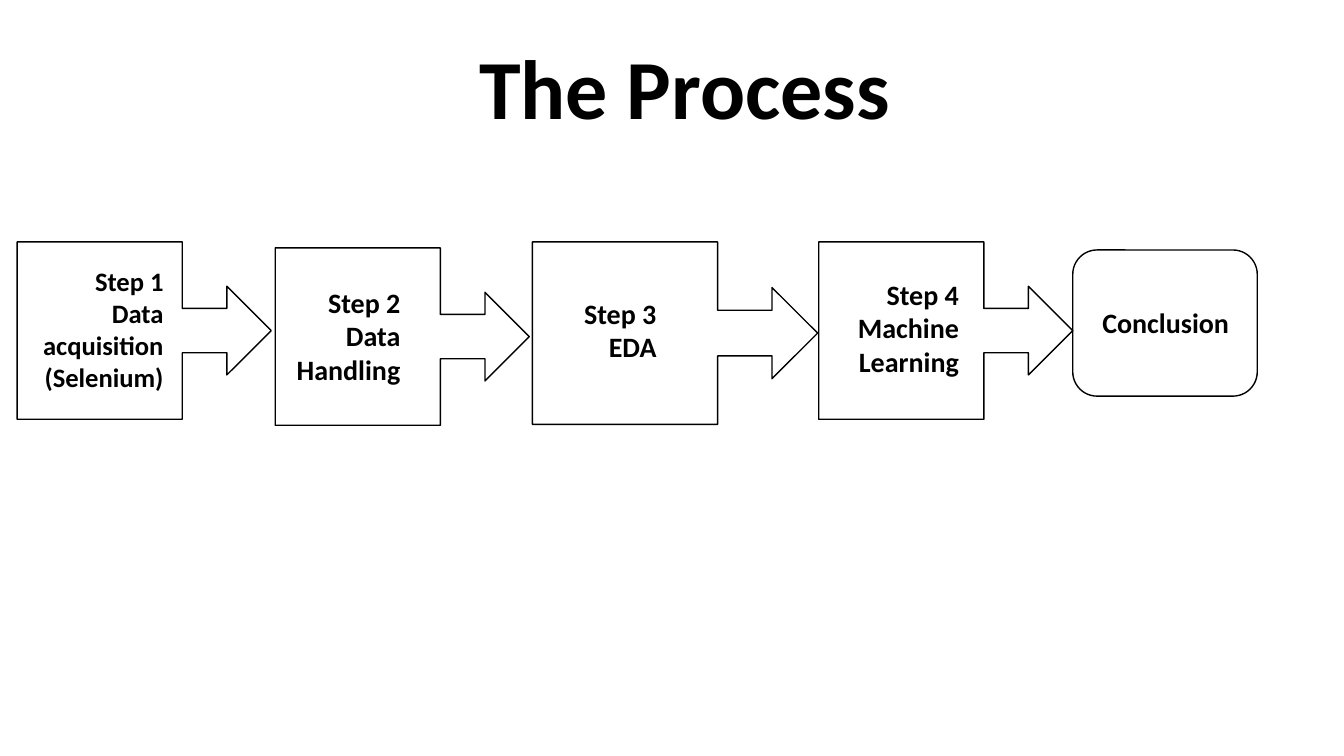
from pptx import Presentation
from pptx.dml.color import RGBColor
from pptx.enum.shapes import MSO_SHAPE as Shape
from pptx.enum.text import MSO_ANCHOR as Anchor, PP_ALIGN as Align
from pptx.util import Inches, Pt

FONT = "Calibri"
BLACK = "000000"

# Callout position and size, text position and size, font size, lines
STEPS = [
    ((0.17, 2.4, 2.52, 1.76), (0.3, 2.58, 1.42, 1.38), 19,
     ["Step 1", "Data acquisition", "(Selenium)"]),
    ((2.73, 2.46, 2.52, 1.76), (2.56, 2.78, 1.51, 1.11), 20,
     ["Step 2", "Data Handling"]),
    ((5.28, 2.4, 2.83, 1.81), (5.43, 2.89, 1.18, 0.77), 20,
     ["Step 3", "EDA"]),
    ((8.12, 2.4, 2.52, 1.76), (8.17, 2.7, 1.44, 1.11), 20,
     ["Step 4", "Machine", "Learning"]),
]


def color(value):
    return RGBColor.from_string(value)


def add_outline(page, kind, place):
    """Draw an unfilled shape with a thin black line."""
    shape = page.shapes.add_shape(kind, *map(Inches, place))
    shape.shadow.inherit = False
    shape.fill.background()
    shape.line.color.rgb = color(BLACK)
    shape.line.width = Pt(1)
    return shape


def add_text(page, place, lines, size=20, align=Align.RIGHT,
             anchor=Anchor.TOP, spacing=1.0):
    """Write bold lines, one paragraph each, in a wrapping box."""
    box = page.shapes.add_textbox(*map(Inches, place))
    frame = box.text_frame
    frame.word_wrap = True
    frame.vertical_anchor = anchor
    for index, line in enumerate(lines):
        para = frame.add_paragraph() if index else frame.paragraphs[0]
        para.alignment = align
        para.line_spacing = spacing
        span = para.add_run()
        span.text = line
        span.font.name = FONT
        span.font.size = Pt(size)
        span.font.bold = True
        span.font.color.rgb = color(BLACK)
    return box


def main():
    deck = Presentation()
    deck.slide_width, deck.slide_height = Inches(13.33), Inches(7.5)
    page = deck.slides.add_slide(deck.slide_layouts[6])

    # Title
    add_text(page, (1.04, 0.19, 11.5, 1.45), ["The Process"], size=60,
             align=Align.CENTER, anchor=Anchor.MIDDLE, spacing=0.9)

    # Steps, each pointing at the next
    for callout, label, size, lines in STEPS:
        add_outline(page, Shape.RIGHT_ARROW_CALLOUT, callout)
        add_text(page, label, lines, size=size)

    # Conclusion
    add_outline(page, Shape.FLOWCHART_ALTERNATE_PROCESS,
                (10.64, 2.48, 1.83, 1.45))
    add_text(page, (10.46, 2.98, 1.83, 0.44), ["Conclusion"])

    deck.save("out.pptx")


if __name__ == "__main__":
    main()
